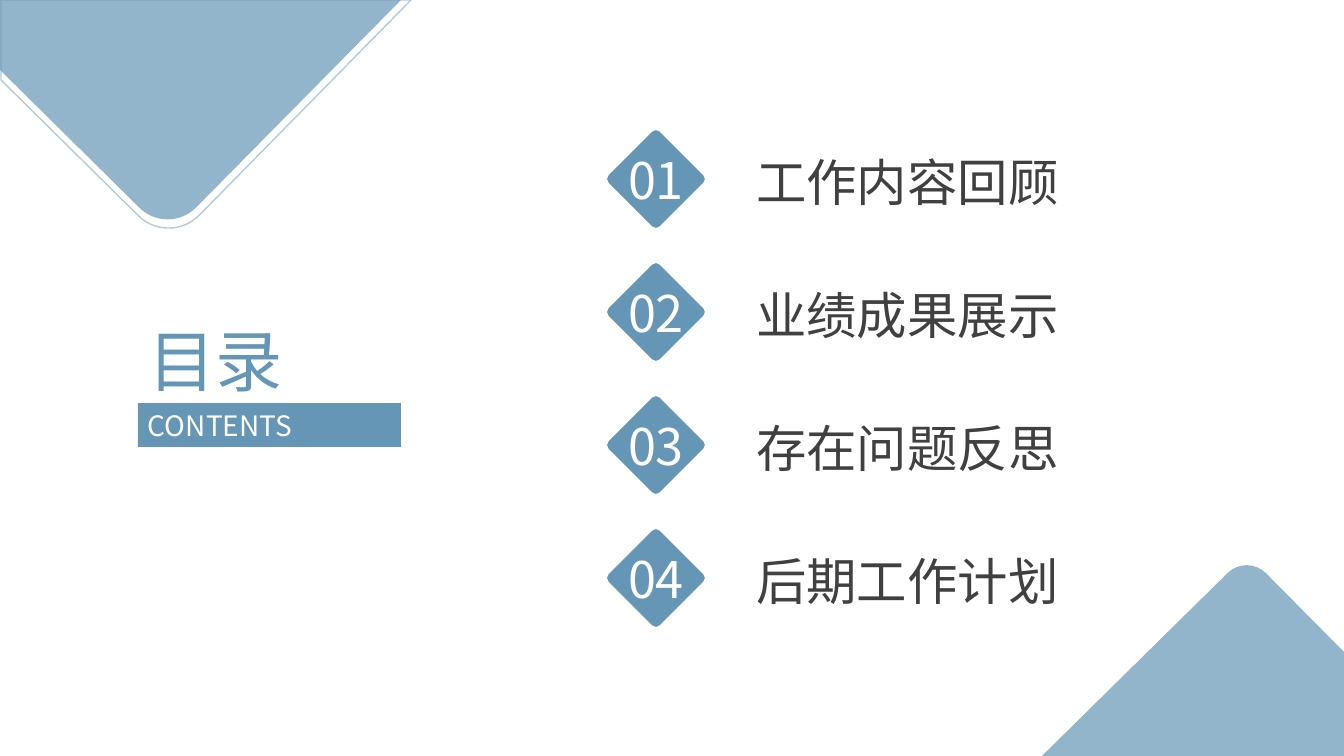
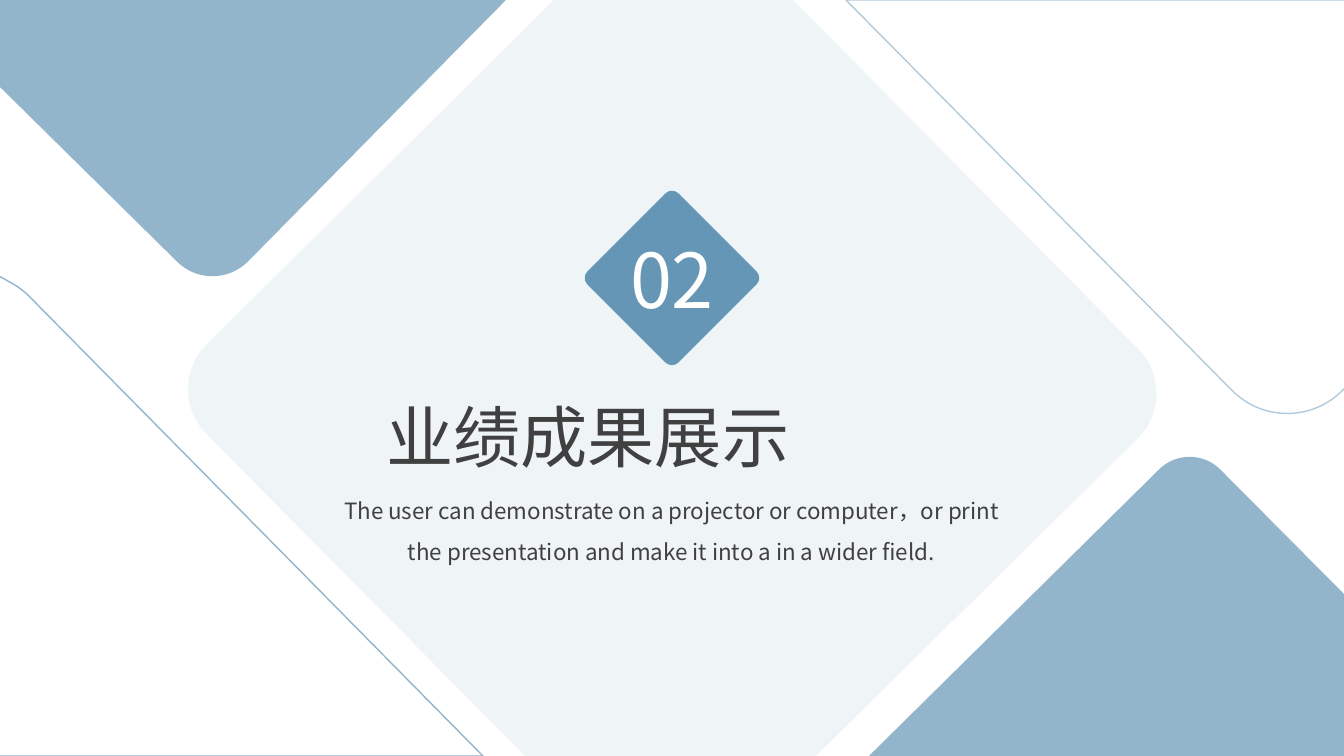
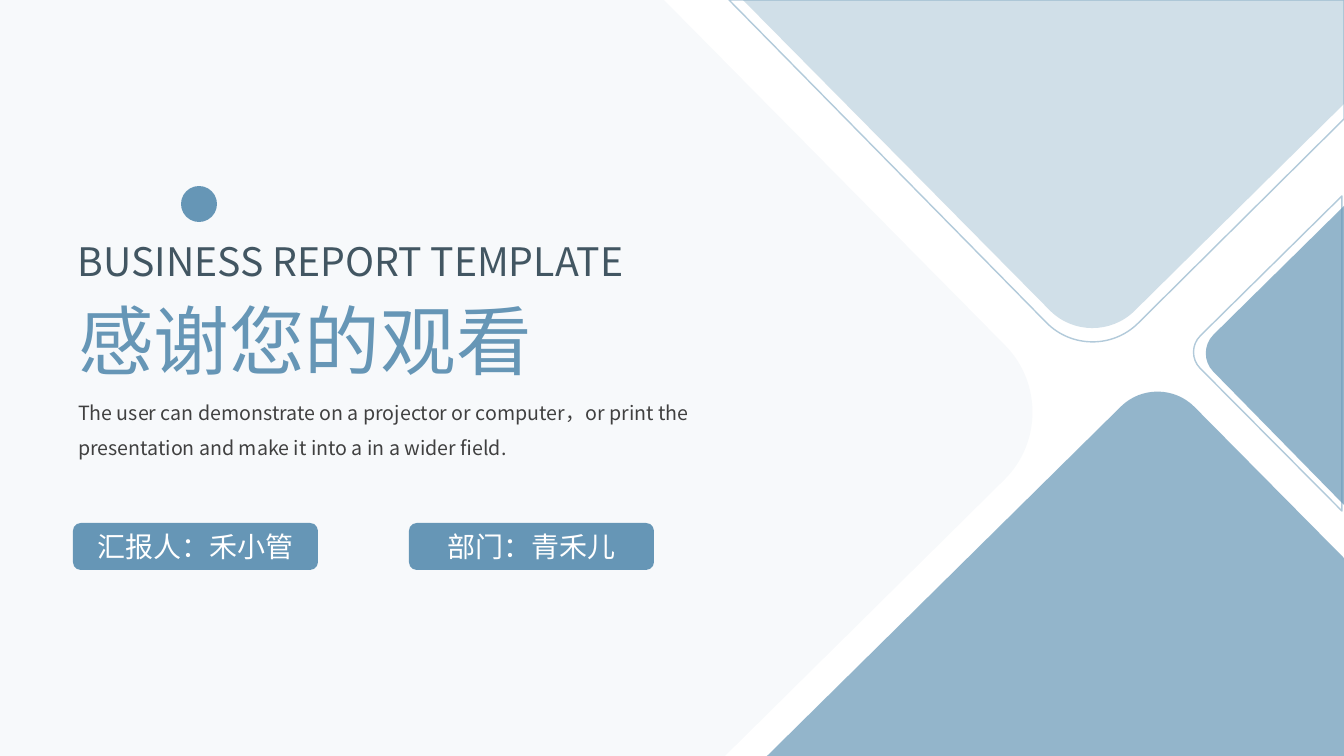
from math import hypot

from lxml import etree
from pptx import Presentation
from pptx.dml.color import RGBColor
from pptx.enum.shapes import MSO_SHAPE
from pptx.enum.text import MSO_ANCHOR, MSO_AUTO_SIZE, PP_ALIGN
from pptx.oxml.ns import qn
from pptx.util import Emu, Pt

LEFT, CENTER = PP_ALIGN.LEFT, PP_ALIGN.CENTER
TOP, MIDDLE = MSO_ANCHOR.TOP, MSO_ANCHOR.MIDDLE
NO_AUTOFIT = MSO_AUTO_SIZE.NONE
RECTANGLE = MSO_SHAPE.RECTANGLE
ROUNDED = MSO_SHAPE.ROUNDED_RECTANGLE
OVAL = MSO_SHAPE.OVAL

PX = 12192000 / 1344
WIDTH, HEIGHT = 1344, 756
FONT = "Noto Sans CJK SC"
BLUE, DARK, SLATE, WHITE = "6696B6", "404040", "425662", "FFFFFF"
KAPPA = 0.55
CORNER_RATIO = 0.1

AGENDA = ["工作内容回顾", "业绩成果展示", "存在问题反思", "后期工作计划"]
AGENDA_PITCH = 133
INTRO = ("The user can demonstrate on a projector or computer，or print "
         "the presentation and make it into a in a wider field.")
TAGS = ["汇报人：禾小管", "部门：青禾儿"]
TAG_PITCH = 336

CONTENTS_PANELS = [
    ("fill", 70, [(1247, 554, 27), (1344, 652), (1344, 756), (1042, 756)]),
    ("fill", 70, [(401, 0), (0, 0), (0, 70), (168, 236, 40)]),
    ("line", 50, [(411, 0), (1, 0), (1, 80), (169, 246, 43)]),
]
SECTION_PANELS = [
    ("line", 70, [(-1, 276), (22, 289, 9), (483, 756), (-1, 756)]),
    ("fill", 10, [(554, 0), (793, 0), (1183, 394, 64), (816, 756),
                  (525, 756), (162, 389, 63)]),
    ("fill", 70, [(1190, 439, 43), (1344, 594), (1344, 756), (869, 756)]),
    ("fill", 70, [(506, 0), (0, 0), (0, 87), (213, 297, 50)]),
    ("line", 50, [(846, 0), (1347, 0), (1347, 386), (1287, 446, 78)]),
]
CLOSING_PANELS = [
    ("fill", 30, [(743, 0), (1344, 0), (1344, 104), (1092, 353, 60)]),
    ("line", 50, [(729, 0), (1344, 0), (1344, 119), (1092, 369, 65)]),
    ("fill", 70, [(1344, 206), (1344, 505), (1195, 353, 26)]),
    ("line", 50, [(1342, 196), (1342, 511), (1184, 352, 23)]),
    ("fill", 5, [(0, 0), (664, 0), (1072, 413, 95), (725, 756), (0, 756)]),
    ("fill", 70, [(1158, 370, 52), (1344, 558), (1344, 756), (767, 756)]),
]


def px(value):
    return Emu(round(value * PX))


def color(hex_code):
    return RGBColor.from_string(hex_code)


def toward(start, end, distance):
    share = distance / hypot(end[0] - start[0], end[1] - start[1])
    return tuple(a + (b - a) * share for a, b in zip(start[:2], end[:2]))


def round_corners(corners):
    points, curves = [], []
    for index, corner in enumerate(corners):
        if len(corner) == 2:
            points.append(corner)
            continue
        before = corners[index - 1]
        after = corners[(index + 1) % len(corners)]
        cut = corner[2]
        enter, leave = toward(corner, before, cut), toward(corner, after, cut)
        pull_in = toward(corner, before, cut * (1 - KAPPA))
        pull_out = toward(corner, after, cut * (1 - KAPPA))
        peak = tuple((a + 3 * b + 3 * c + d) / 8
                     for a, b, c, d in zip(enter, pull_in, pull_out, leave))
        curves.append((len(points) + 1, (pull_in, pull_out, leave)))
        points += [enter, peak, leave]
    return points, curves


def bend(shape, curves):
    outline = next(shape.element.spPr.iter(qn("a:pathLst")))[0]
    steps = list(outline)
    for index, controls in curves:
        curve = etree.Element(qn("a:cubicBezTo"))
        for x, y in controls:
            etree.SubElement(curve, qn("a:pt"), x=str(px(x) - shape.left),
                             y=str(px(y) - shape.top))
        outline.replace(steps[index], curve)
        outline.remove(steps[index + 1])


def paint(shape, style="fill", opacity=100):
    shape.shadow.inherit = False
    if style == "fill":
        shape.fill.solid()
        shape.fill.fore_color.rgb = color(BLUE)
        shape.line.fill.background()
    else:
        shape.fill.background()
        shape.line.color.rgb = color(BLUE)
        shape.line.width = Pt(1)
    if opacity < 100:
        tint = next(shape.element.spPr.iter(qn("a:srgbClr")))
        etree.SubElement(tint, qn("a:alpha"), val=str(opacity * 1000))


def add_outline(page, corners, style="fill", opacity=100):
    points, curves = round_corners(corners)
    start, *others = [(px(x), px(y)) for x, y in points]
    builder = page.shapes.build_freeform(*start, scale=1.0)
    builder.add_line_segments(others, close=True)
    shape = builder.convert_to_shape()
    bend(shape, curves)
    paint(shape, style, opacity)
    return shape


def write(shape, lines, size, ink, align=LEFT, anchor=TOP, spacing=1.0):
    frame = shape.text_frame
    frame.word_wrap = True
    frame.auto_size = NO_AUTOFIT
    frame.vertical_anchor = anchor
    frame.text = "\n".join(lines)
    for para in frame.paragraphs:
        para.alignment = align
        para.line_spacing = spacing
        para.space_before = para.space_after = Pt(0)
        para.font.size = Pt(size)
        para.font.color.rgb = color(ink)
        para.font.name = FONT
        properties = para._p.get_or_add_pPr()
        properties.set("marL", "0")
        properties.set("indent", "0")
        defaults = properties.find(qn("a:defRPr"))
        etree.SubElement(defaults, qn("a:ea"), typeface=FONT)
        defaults.addprevious(etree.Element(qn("a:buNone")))


def place(shape, left, top, width, height):
    shape.left, shape.top = px(left), px(top)
    shape.width, shape.height = px(width), px(height)
    shape.element.getparent().append(shape.element)
    return shape


def add_block(page, kind, area, text=None, align=LEFT):
    shape = page.shapes.add_shape(kind, *map(px, area))
    paint(shape)
    if text:
        write(shape, [text], 20, WHITE, align, MIDDLE)


def add_diamond(page, x, y, half, number, size):
    cut = half * CORNER_RATIO
    corners = [(x, y - half, cut), (x + half, y, cut),
               (x, y + half, cut), (x - half, y, cut)]
    shape = add_outline(page, corners)
    write(shape, [f"{number:02d}"], size, WHITE, CENTER, MIDDLE)


def start_page(deck, panels):
    page = deck.slides.add_slide(deck.slide_layouts[1])
    for style, opacity, corners in panels:
        add_outline(page, corners, style, opacity)
    return page, page.shapes.title, page.placeholders[1]


def build_contents(deck):
    page, title, body = start_page(deck, CONTENTS_PANELS)
    for index in range(len(AGENDA)):
        add_diamond(page, 656, 179 + index * AGENDA_PITCH, 51, index + 1, 36)
    write(place(body, 746, 74, 459, 540), AGENDA, 36, DARK,
          spacing=Pt(AGENDA_PITCH * PX / 12700))
    write(place(title, 138, 314, 236, 92), ["目录"], 48, BLUE)
    add_block(page, RECTANGLE, (138, 403, 263, 44), "CONTENTS")


def build_section(deck):
    page, title, body = start_page(deck, SECTION_PANELS)
    add_diamond(page, 672, 278, 91, 2, 54)
    write(place(title, 376, 390, 590, 92), [AGENDA[1]], 48, DARK)
    write(place(body, 328, 479, 687, 87), [INTRO], 16, DARK, CENTER, spacing=1.5)


def build_closing(deck):
    page, title, body = start_page(deck, CLOSING_PANELS)
    write(place(title, 68, 289, 742, 102), ["感谢您的观看"], 54, BLUE)
    write(place(body, 68, 384, 742, 78), [INTRO], 14, DARK, spacing=1.5)
    for index, tag in enumerate(TAGS):
        add_block(page, ROUNDED, (73 + index * TAG_PITCH, 523, 245, 47), tag, CENTER)
    label = page.shapes.add_textbox(*map(px, (68, 232, 585, 57)))
    write(label, ["BUSINESS REPORT TEMPLATE"], 28, SLATE)
    add_block(page, OVAL, (181, 186, 36, 36))


def main():
    deck = Presentation()
    deck.slide_width, deck.slide_height = px(WIDTH), px(HEIGHT)
    build_contents(deck)
    build_section(deck)
    build_closing(deck)
    deck.save("out.pptx")


if __name__ == "__main__":
    main()
